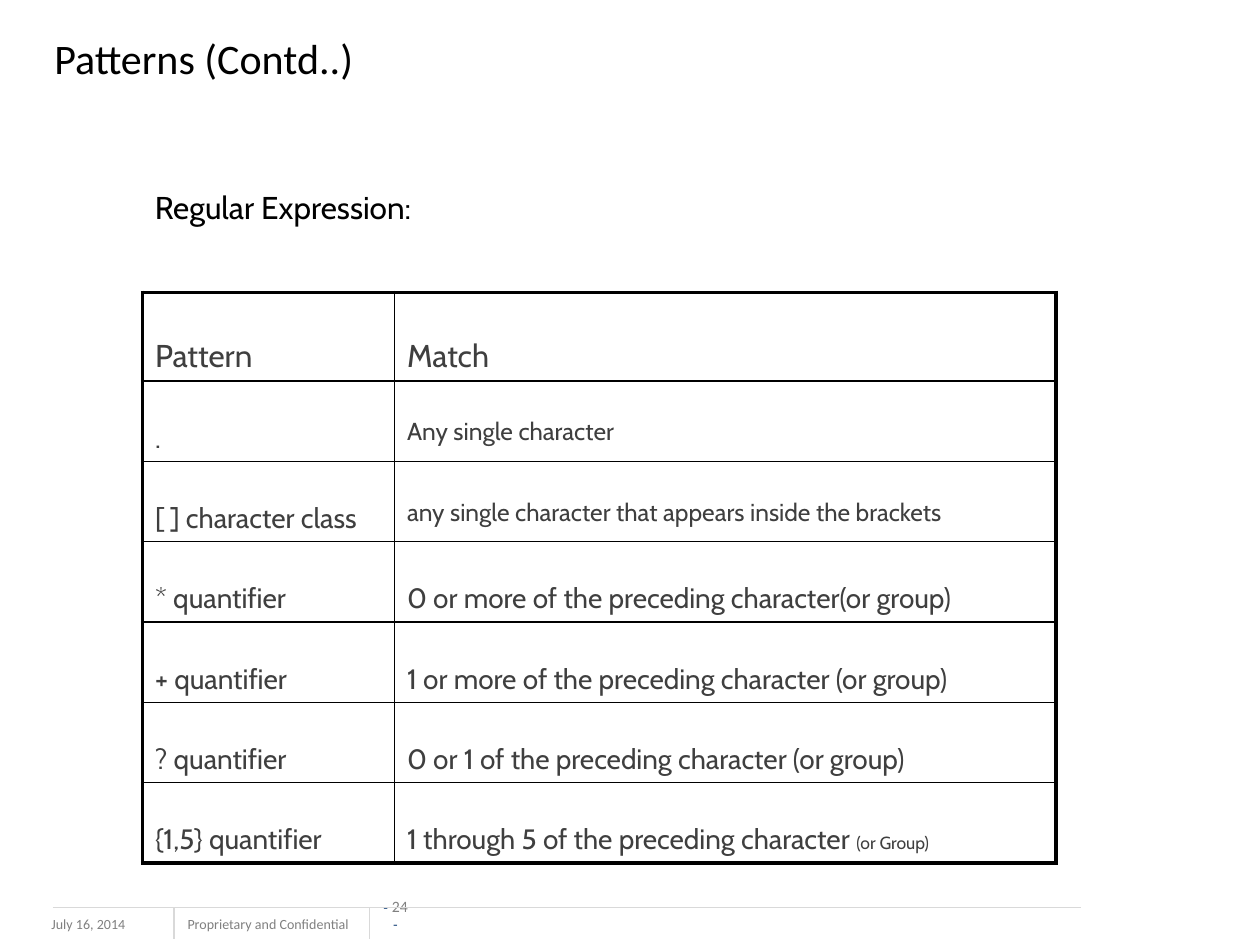
import pptx
import pptx.dml.color
import pptx.enum.shapes
import pptx.enum.text
import pptx.oxml.ns
import pptx.util
import lxml.etree
from dataclasses import dataclass

Pt = pptx.util.Pt
Anchor = pptx.enum.text.MSO_ANCHOR
Align = pptx.enum.text.PP_ALIGN
qn = pptx.oxml.ns.qn


@dataclass
class Theme:
    """Colours, fonts and type sizes of the deck."""
    black: str = "000000"
    body: str = "3F3F3F"
    grey: str = "808080"
    rule: str = "D9D9D9"
    navy: str = "1F497D"
    heading_font: str = "Calibri"
    body_font: str = "Cabin"
    mark_font: str = "Arial"
    title: int = 24
    lead: int = 18
    cell: int = 16
    small: int = 14
    note: int = 10
    number: int = 9
    footer: int = 8
    thick: float = 2.25
    thin: float = 1
    hairline: float = 0.75


def apply(target, values):
    """Set each named attribute on the target."""
    for name, value in values.items():
        setattr(target, name, value)


class Builder:
    """Draws styled elements on the current page, in points."""

    def __init__(self, theme, page):
        self.theme = theme
        self.page = page

    def fill_text(self, frame, spans, frame_format=None, para_format=None):
        apply(frame, frame_format or {})
        para = frame.paragraphs[0]
        apply(para, para_format or {})
        for text, size, font, color in spans:
            span = para.add_run()
            span.text = text
            apply(span.font, {"size": Pt(size), "name": font, "bold": False})
            span.font.color.rgb = pptx.dml.color.RGBColor.from_string(color)

    def title(self, place, spans):
        box = self.page.shapes.title
        apply(box, dict(zip(("left", "top", "width", "height"), map(Pt, place))))
        self.fill_text(box.text_frame, spans,
                       {"vertical_anchor": Anchor.MIDDLE, "word_wrap": True,
                        "auto_size": pptx.enum.text.MSO_AUTO_SIZE.NONE},
                       {"alignment": Align.LEFT})

    def text(self, place, spans, frame_format=None, para_format=None):
        box = self.page.shapes.add_textbox(*map(Pt, place))
        self.fill_text(box.text_frame, spans,
                       {"word_wrap": True, **(frame_format or {})}, para_format)

    def line(self, start, end):
        rule = self.page.shapes.add_connector(
            pptx.enum.shapes.MSO_CONNECTOR.STRAIGHT, *map(Pt, start + end))
        rule.line.color.rgb = pptx.dml.color.RGBColor.from_string(self.theme.rule)
        rule.line.width = Pt(self.theme.hairline)
        lxml.etree.SubElement(rule.element.spPr, qn("a:effectLst"))

    def border(self, cell, side, width):
        properties = cell._tc.get_or_add_tcPr()
        edge = lxml.etree.SubElement(properties, qn("a:ln" + side), w=str(Pt(width)))
        fill = lxml.etree.SubElement(edge, qn("a:solidFill"))
        lxml.etree.SubElement(fill, qn("a:srgbClr"), val=self.theme.black)

    def table(self, place, widths, heights, rows):
        shape = self.page.shapes.add_table(len(rows), len(widths), *map(Pt, place))
        table = shape.table
        apply(table, {"first_row": False, "horz_banding": False})
        for column, width in zip(table.columns, widths):
            column.width = Pt(width)
        for row, height in zip(table.rows, heights):
            row.height = Pt(height)
        last_row, last_column = len(rows) - 1, len(widths) - 1
        for r, row in enumerate(rows):
            for c, spans in enumerate(row):
                cell = table.cell(r, c)
                outer = {"L": c == 0, "R": c == last_column,
                         "T": r == 0, "B": r == last_row}
                for side, is_outer in outer.items():
                    self.border(cell, side, self.theme.thick if is_outer else self.theme.thin)
                cell.fill.background()
                styled = [(text, size, self.theme.body_font, self.theme.body)
                          for text, size in spans]
                self.fill_text(cell.text_frame, styled, para_format={"line_spacing": 2.0})


def main():
    """Build the page and save the deck."""
    theme = Theme()
    deck = pptx.Presentation()
    apply(deck, {"slide_width": Pt(720), "slide_height": Pt(540)})
    builder = Builder(theme, deck.slides.add_slide(deck.slide_layouts[5]))

    footer = (theme.footer, theme.heading_font, theme.grey)
    mark = (theme.footer, theme.mark_font, theme.navy)
    builder.text((22.3, 519.8, 95.8, 18), [("July 16, 2014", *footer)])
    builder.text((100.1, 519.8, 113, 17.3), [("Proprietary and Confidential", *footer)],
                 {"word_wrap": False})
    flush = dict.fromkeys(("margin_left", "margin_top", "margin_right", "margin_bottom"), 0)
    builder.text((216.7, 522, 18.7, 10.8),
                 [("- ", *mark), ("24 ", theme.number, theme.heading_font, theme.grey),
                  ("-", *mark)],
                 {"vertical_anchor": Anchor.BOTTOM, **flush}, {"alignment": Align.CENTER})
    rule_top = 518.4
    builder.line((30.2, rule_top), (617.8, rule_top))
    for x in (99.4, 211):
        builder.line((x, rule_top), (x, 536.4))

    builder.title((23.8, 1.4, 648, 62.6),
                  [("Patterns (Contd..)", theme.title, theme.heading_font, theme.black)])

    lead, cell, small = theme.lead, theme.cell, theme.small
    rows = [
        [[("Pattern", lead)], [("Match", lead)]],
        [[(".", cell)], [("Any single character", small)]],
        [[("[ ] character class", cell)],
         [("any single character that appears inside the brackets", small)]],
        [[("* quantifier", cell)], [("0 or more of the preceding character(or group)", cell)]],
        [[("+ quantifier", cell)], [("1 or more of the preceding character (or group)", cell)]],
        [[("? quantifier", cell)], [("0 or 1 of the preceding character (or group)", cell)]],
        [[("{1,5} quantifier", cell)],
         [("1 through 5 of the preceding character ", cell), ("(or Group)", theme.note)]],
    ]
    heights = [50.8] + [45.9] * (len(rows) - 1)
    builder.table((81.4, 167, 522, sum(heights)), (144, 378), heights, rows)
    builder.text((81.4, 103.7, 326.9, 28.8),
                 [("Regular Expression:", lead, theme.body_font, theme.black)])
    deck.save("out.pptx")


if __name__ == "__main__":
    main()
